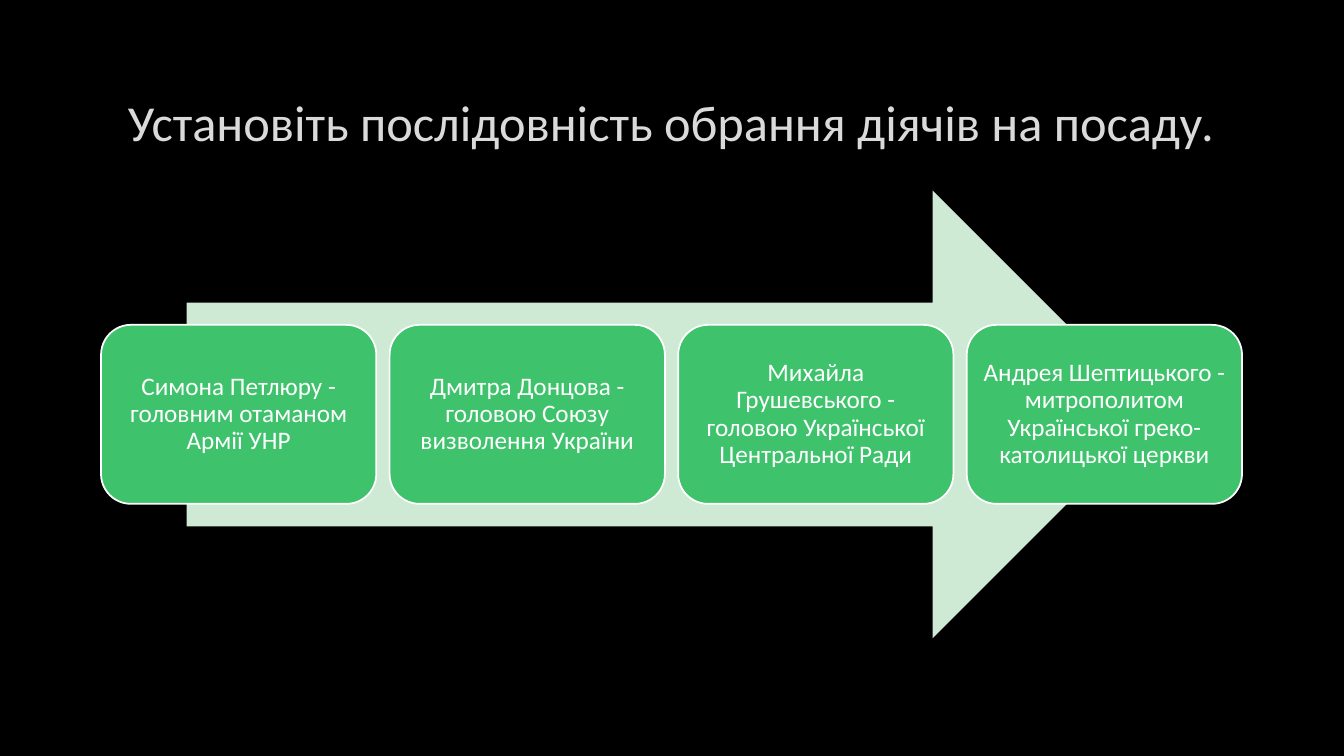
from dataclasses import dataclass

from pptx import Presentation
from pptx.dml.color import RGBColor
from pptx.enum.shapes import MSO_SHAPE
from pptx.enum.text import MSO_ANCHOR, PP_ALIGN
from pptx.util import Pt

RIGHT_ARROW = MSO_SHAPE.RIGHT_ARROW
ROUNDED_RECTANGLE = MSO_SHAPE.ROUNDED_RECTANGLE
MIDDLE = MSO_ANCHOR.MIDDLE
CENTER = PP_ALIGN.CENTER


@dataclass(frozen=True)
class Theme:
    background: RGBColor = RGBColor(0x00, 0x00, 0x00)
    title: RGBColor = RGBColor(0xDA, 0xDA, 0xDA)
    arrow: RGBColor = RGBColor(0xCE, 0xE9, 0xD4)
    card: RGBColor = RGBColor(0x3E, 0xC2, 0x6C)
    card_text: RGBColor = RGBColor(0xFF, 0xFF, 0xFF)
    font: str = "Calibri"
    title_size: int = 36
    card_size: int = 18


THEME = Theme()

TITLE = "Установіть послідовність обрання діячів на посаду."
FIGURES = [
    "Симона Петлюру - головним отаманом Армії УНР",
    "Дмитра Донцова - головою Союзу визволення України",
    "Михайла Грушевського - головою Української Центральної Ради",
    "Андрея Шептицького - митрополитом Української греко-католицької церкви",
]


def write_centred(shape, text, size, color):
    frame = shape.text_frame
    frame.word_wrap = True
    frame.vertical_anchor = MIDDLE
    paragraph = frame.paragraphs[0]
    paragraph.text = text
    paragraph.alignment = CENTER
    paragraph.font.name = THEME.font
    paragraph.font.size = Pt(size)
    paragraph.font.color.rgb = color
    return frame


def add_filled_shape(slide, kind, box, color):
    shape = slide.shapes.add_shape(kind, *map(Pt, box))
    shape.shadow.inherit = False
    shape.fill.solid()
    shape.fill.fore_color.rgb = color
    shape.line.fill.background()
    return shape


def add_title(slide, box):
    title = slide.shapes.add_textbox(*map(Pt, box))
    write_centred(title, TITLE, THEME.title_size, THEME.title)


def add_card(slide, box, text):
    card = add_filled_shape(slide, ROUNDED_RECTANGLE, box, THEME.card)
    card.line.color.rgb = THEME.card_text
    card.line.width = Pt(1.25)
    frame = write_centred(card, text, THEME.card_size, THEME.card_text)
    frame.margin_left = frame.margin_right = Pt(5)
    frame.margin_top = frame.margin_bottom = Pt(5)
    frame.paragraphs[0].line_spacing = 0.9


def add_process(slide, box):
    """Place equal cards across the box, over an arrow 85% of its width."""
    left, top, width, height = box
    arrow_width = width * 0.85
    arrow_left = left + (width - arrow_width) / 2
    add_filled_shape(slide, RIGHT_ARROW, (arrow_left, top, arrow_width, height), THEME.arrow)

    gap = 9.5
    card_width = (width - gap * (len(FIGURES) - 1)) / len(FIGURES)
    card_height = height * 0.4
    card_top = top + (height - card_height) / 2
    for index, text in enumerate(FIGURES):
        card_left = left + index * (card_width + gap)
        add_card(slide, (card_left, card_top, card_width, card_height), text)


def main():
    presentation = Presentation()
    presentation.slide_width = Pt(960)
    presentation.slide_height = Pt(540)
    slide = presentation.slides.add_slide(presentation.slide_layouts[6])
    slide.background.fill.solid()
    slide.background.fill.fore_color.rgb = THEME.background
    add_title(slide, (72, 48.2, 815, 76.3))
    add_process(slide, (72.2, 136.2, 815, 319.6))
    presentation.save("out.pptx")


if __name__ == "__main__":
    main()
